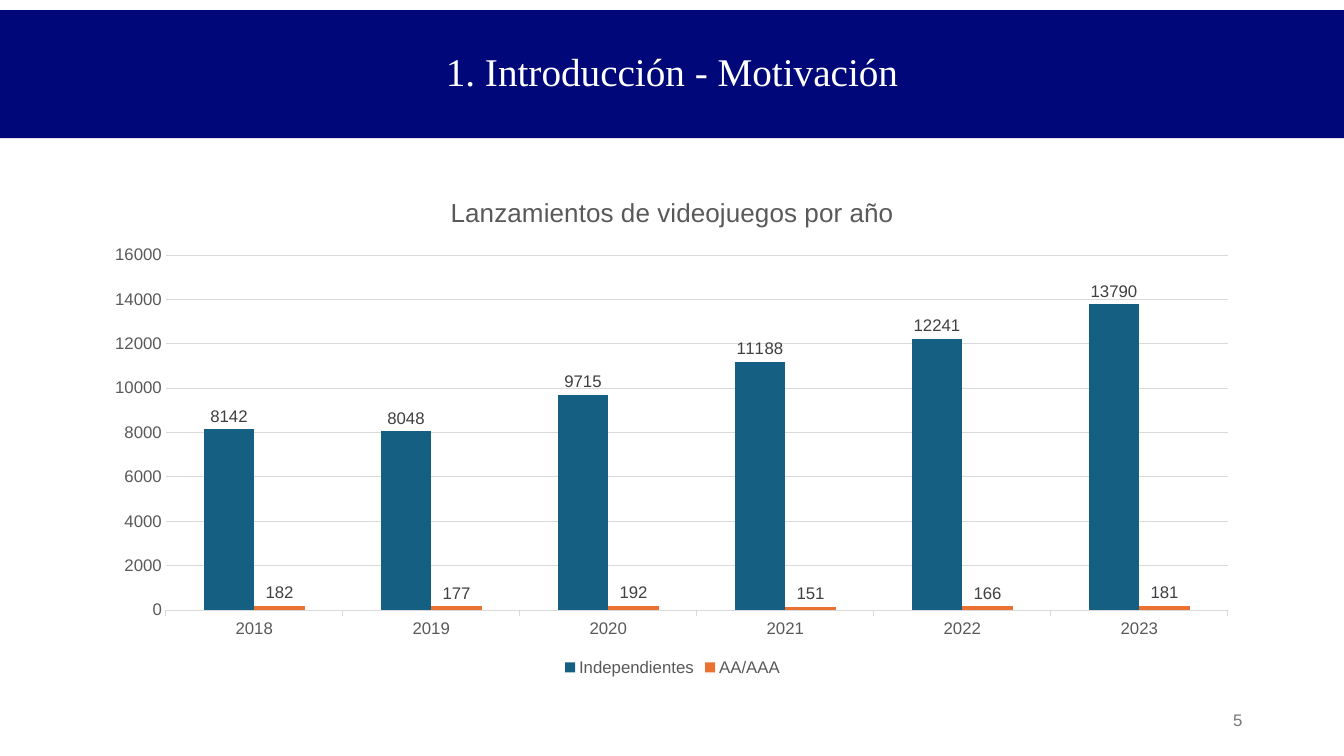
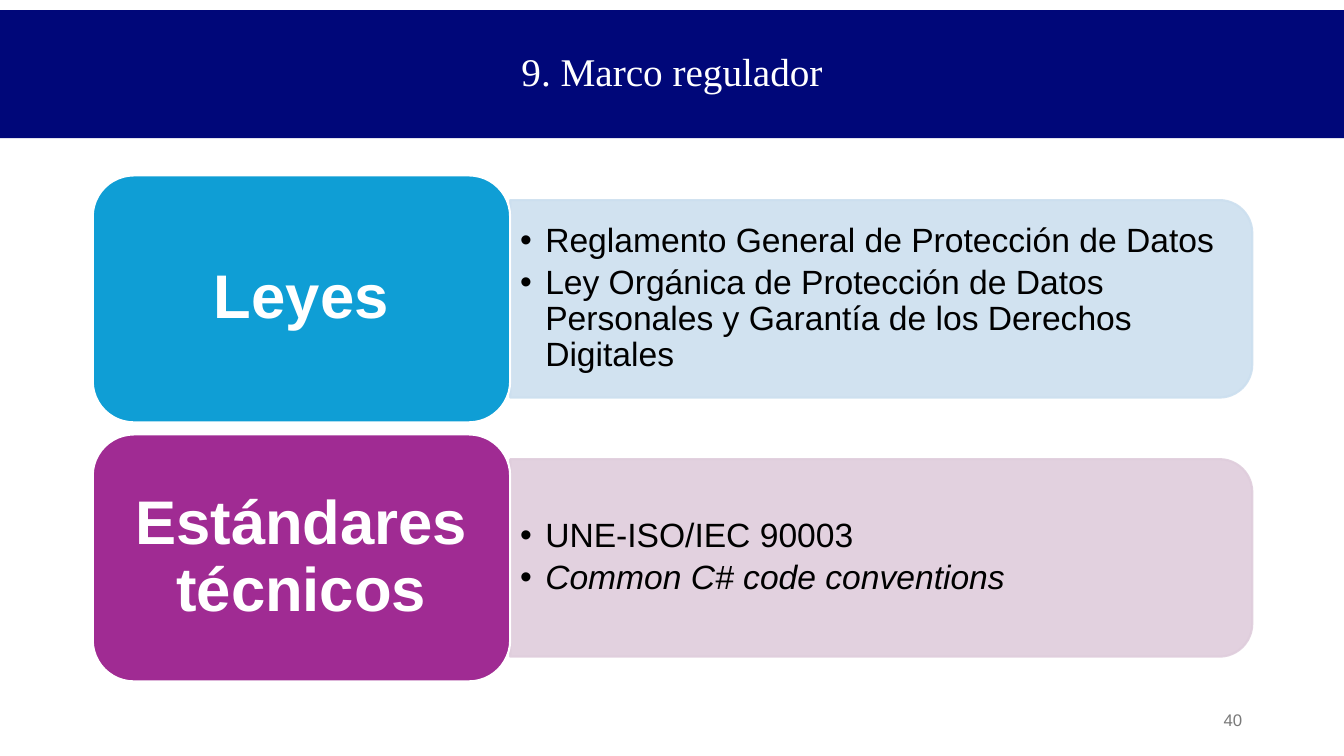
import pptx
import pptx.util
import pptx.chart.data
import pptx.dml.color
import pptx.enum.chart
import pptx.enum.shapes
import pptx.enum.text
from lxml import etree
from pptx.util import Inches, Pt

NAVY, WHITE, BLACK = "000779", "FFFFFF", "000000"
PAGE_GRAY, AXIS_GRAY, LABEL_GRAY, GRID_GRAY = "797979", "595959", "404040", "D9D9D9"
BODY_FONT, TITLE_FONT = "Arial", "Times New Roman"
DRAWING_NS = "http://schemas.openxmlformats.org/drawingml/2006/main"
SHAPES = pptx.enum.shapes.MSO_SHAPE
ALIGN = pptx.enum.text.PP_ALIGN
LEFT, TOP, WIDTH = 0.92, 1.74, 11.5

LAUNCHES = {
    "title": "Lanzamientos de videojuegos por año",
    "years": ["2018", "2019", "2020", "2021", "2022", "2023"],
    "series": [
        ("Independientes", "156082", [8142, 8048, 9715, 11188, 12241, 13790]),
        ("AA/AAA", "E97132", [182, 177, 192, 151, 166, 181]),
    ],
}
RULES = [
    ("Leyes", "0F9ED5", "CCDFEF", [
        ("Reglamento General de Protección de Datos", False),
        ("Ley Orgánica de Protección de Datos Personales y Garantía de los Derechos Digitales", False),
    ]),
    ("Estándares técnicos", "A02B93", "DFCDDC", [
        ("UNE-ISO/IEC 90003", False),
        ("Common C# code conventions", True),
    ]),
]


def rgb(color):
    return pptx.dml.color.RGBColor.from_string(color)


def set_font(font, size, color, name=BODY_FONT, bold=False, italic=False):
    font.size, font.name = Pt(size), name
    font.bold, font.italic = bold, italic
    font.color.rgb = rgb(color)


def set_alpha(shape, percent):
    for color in shape._element.spPr.iter(f"{{{DRAWING_NS}}}srgbClr"):
        etree.SubElement(color, f"{{{DRAWING_NS}}}alpha", val=str(percent * 1000))


def add_bullet(p):
    pPr = p._p.get_or_add_pPr()
    pPr.set("marL", str(Inches(0.25)))
    pPr.set("indent", str(Inches(-0.25)))
    etree.SubElement(pPr, f"{{{DRAWING_NS}}}buFont", typeface=BODY_FONT)
    etree.SubElement(pPr, f"{{{DRAWING_NS}}}buChar", char="•")


def add_block(s, kind, box, fill, line=None):
    shape = s.shapes.add_shape(kind, *map(Inches, box))
    shape.shadow.inherit = False
    shape.fill.solid()
    shape.fill.fore_color.rgb = rgb(fill)
    if line:
        shape.line.color.rgb = rgb(line)
        shape.line.width = Pt(1.5)
    else:
        shape.line.fill.background()
    return shape


def middle_frame(shape):
    tf = shape.text_frame
    tf.word_wrap = True
    tf.vertical_anchor = pptx.enum.text.MSO_ANCHOR.MIDDLE
    return tf


def add_label(s, box, text, size, color, name, align):
    tf = middle_frame(s.shapes.add_textbox(*map(Inches, box)))
    tf.text = text
    p = tf.paragraphs[0]
    p.alignment, p.line_spacing = align, 0.9
    set_font(p.runs[0].font, size, color, name)


def add_base_slide(prs, title, number):
    s = prs.slides.add_slide(prs.slide_layouts[6])
    add_block(s, SHAPES.RECTANGLE, (0, 0.1, 13.33, 1.27), NAVY)
    add_label(s, (2.29, 0.13, 8.75, 1.2), title, 28, WHITE, TITLE_FONT, ALIGN.CENTER)
    add_label(s, (9.42, 6.95, 3, 0.4), number, 12, PAGE_GRAY, BODY_FONT, ALIGN.RIGHT)
    return s


def place_plot(chart, **place):
    plot_area = chart._chartSpace.chart.plotArea
    ns = etree.QName(plot_area).namespace
    for old in plot_area.findall(f"{{{ns}}}layout"):
        plot_area.remove(old)
    layout = etree.Element(f"{{{ns}}}layout")
    manual = etree.SubElement(layout, f"{{{ns}}}manualLayout")
    settings = {"layoutTarget": "inner", "xMode": "edge", "yMode": "edge", **place}
    for tag, value in settings.items():
        etree.SubElement(manual, f"{{{ns}}}{tag}", val=str(value))
    plot_area.insert(0, layout)


def add_launch_chart(s):
    enums = pptx.enum.chart
    data = pptx.chart.data.CategoryChartData()
    data.categories = LAUNCHES["years"]
    for name, _, values in LAUNCHES["series"]:
        data.add_series(name, values)
    box = map(Inches, (LEFT, TOP, WIDTH, 5.01))
    chart = s.shapes.add_chart(enums.XL_CHART_TYPE.COLUMN_CLUSTERED, *box, data).chart
    set_font(chart.font, 12, AXIS_GRAY)

    chart.has_title = True
    chart.chart_title.include_in_layout = False
    chart.chart_title.text_frame.text = LAUNCHES["title"]
    set_font(chart.chart_title.text_frame.paragraphs[0].runs[0].font, 18.6, AXIS_GRAY)

    chart.has_legend = True
    chart.legend.position = enums.XL_LEGEND_POSITION.BOTTOM
    chart.legend.include_in_layout = False
    set_font(chart.legend.font, 12, AXIS_GRAY)

    years, counts = chart.category_axis, chart.value_axis
    years.major_tick_mark = enums.XL_TICK_MARK.OUTSIDE
    counts.major_tick_mark = enums.XL_TICK_MARK.NONE
    counts.minimum_scale, counts.maximum_scale, counts.major_unit = 0, 16000, 2000
    counts.format.line.fill.background()
    for line in (years.format.line, counts.major_gridlines.format.line):
        line.color.rgb = rgb(GRID_GRAY)
        line.width = Pt(0.75)
    for axis in (years, counts):
        set_font(axis.tick_labels.font, 12, AXIS_GRAY)

    plot = chart.plots[0]
    plot.gap_width, plot.overlap, plot.vary_by_categories = 150, 0, False
    for series, (_, color, _) in zip(plot.series, LAUNCHES["series"]):
        series.format.fill.solid()
        series.format.fill.fore_color.rgb = rgb(color)
        labels = series.data_labels
        labels.show_value = True
        labels.position = enums.XL_LABEL_POSITION.OUTSIDE_END
        set_font(labels.font, 12, LABEL_GRAY)
    place_plot(chart, x=0.063, y=0.158, w=0.916, h=0.703)


def add_rule_row(s, top, name, card_color, panel_color, items):
    card_w, card_h, panel_h = 4.14, 2.45, 1.96
    panel_x, panel_w = LEFT + card_w, WIDTH - card_w
    middle = top + card_h / 2

    turned_box = (panel_x + (panel_w - panel_h) / 2, middle - panel_w / 2, panel_h, panel_w)
    panel = add_block(s, SHAPES.ROUND_2_SAME_RECTANGLE, turned_box, panel_color, panel_color)
    panel.rotation = 90
    set_alpha(panel, 90)

    text_h = 1.77
    text_box = (panel_x, middle - text_h / 2, panel_w - 0.1, text_h)
    tf = middle_frame(s.shapes.add_textbox(*map(Inches, text_box)))
    tf.text = "\n".join(text for text, _ in items)
    for p, (_, italic) in zip(tf.paragraphs, items):
        p.line_spacing, p.space_after = 0.9, Pt(4)
        add_bullet(p)
        set_font(p.runs[0].font, 24, BLACK, italic=italic)

    card = add_block(s, SHAPES.ROUNDED_RECTANGLE, (LEFT, top, card_w, card_h), card_color, WHITE)
    tf = middle_frame(card)
    tf.margin_left = tf.margin_right = Inches(0.18)
    tf.margin_top = tf.margin_bottom = Inches(0.09)
    tf.text = name
    p = tf.paragraphs[0]
    p.alignment, p.line_spacing = ALIGN.CENTER, 0.9
    set_font(p.runs[0].font, 44, WHITE, bold=True)


def main():
    prs = pptx.Presentation()
    prs.slide_width, prs.slide_height = Inches(13.33), Inches(7.5)
    add_launch_chart(add_base_slide(prs, "1. Introducción - Motivación", "5"))
    s = add_base_slide(prs, "9. Marco regulador", "40")
    for i, rule in enumerate(RULES):
        add_rule_row(s, TOP + i * 2.57, *rule)
    prs.save("out.pptx")


if __name__ == "__main__":
    main()
